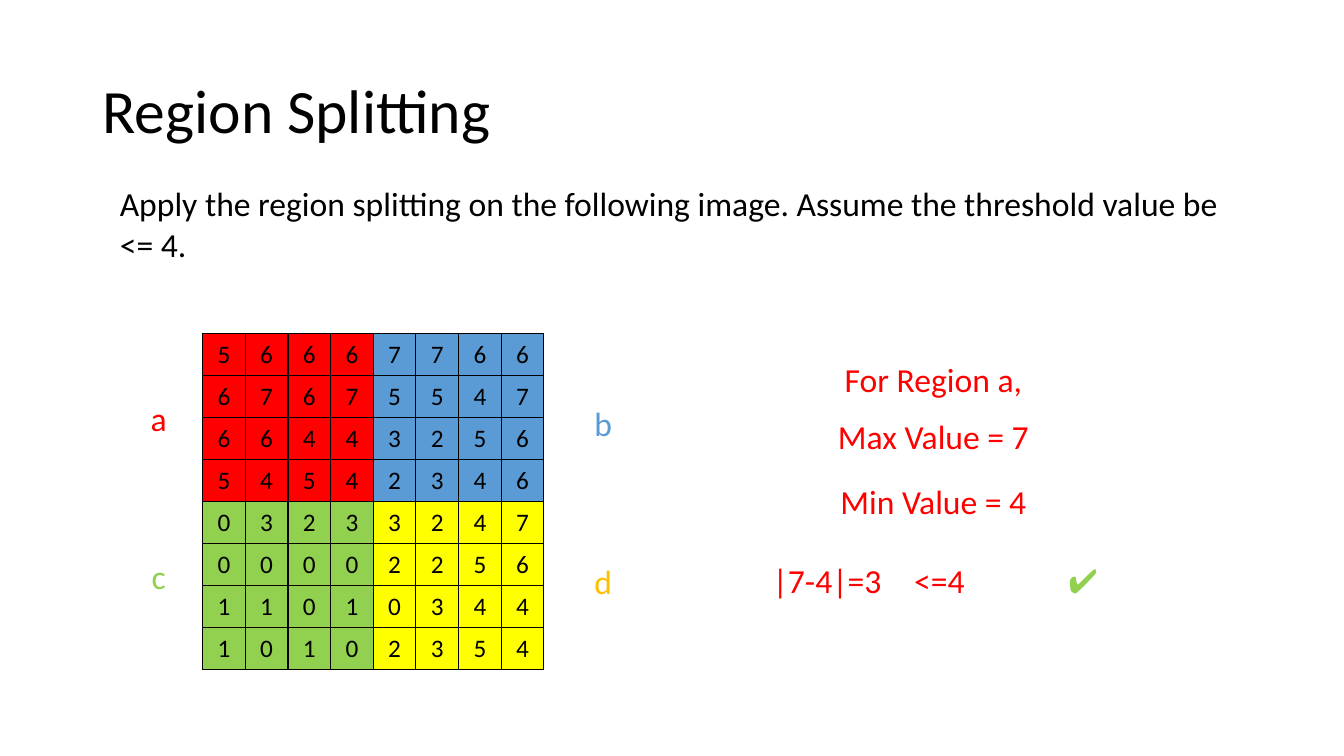
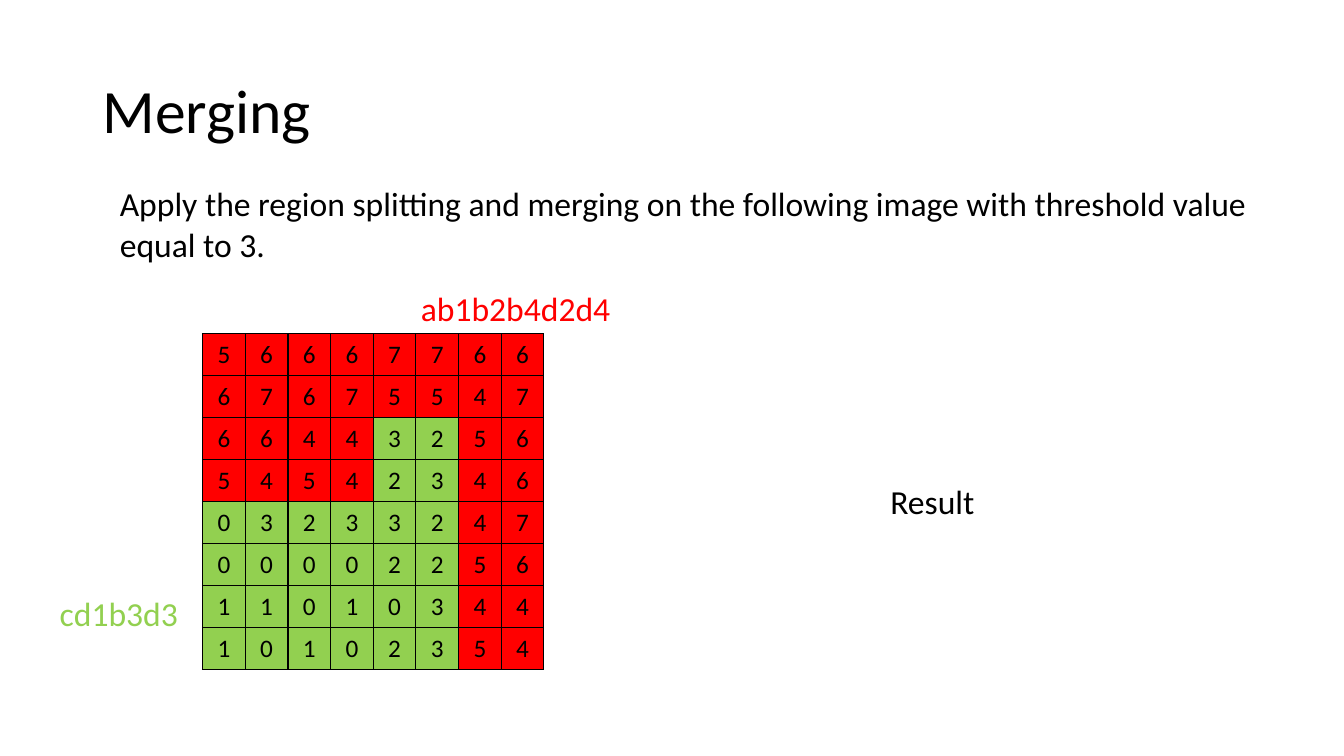
from pptx import Presentation
from pptx.dml.color import RGBColor
from pptx.enum import text as t
from pptx.oxml import parse_xml
from pptx.oxml.ns import nsdecls
from pptx.util import Pt

FONT = "Calibri"
BLACK = RGBColor(0x00, 0x00, 0x00)
RED = RGBColor(0xFF, 0x00, 0x00)
BLUE = RGBColor(0x5B, 0x9B, 0xD5)
GREEN = RGBColor(0x92, 0xD0, 0x50)
YELLOW = RGBColor(0xFF, 0xFF, 0x00)
GOLD = RGBColor(0xFF, 0xC0, 0x00)
LEFT, CENTER = t.PP_ALIGN.LEFT, t.PP_ALIGN.CENTER

TITLE_BOX = (66.2, 28.8, 828, 104.4)
TASK_BOX = (78.5, 127.4, 819.4, 65.5)
GRID_BOX = (144.7, 238.3, 244, 240)
CHECK_BOX = (535.7, 252.7, 260.6, 179.4)
RESULT_BOX = (576.7, 339.8, 178.6, 36)
LINE_HEIGHT = 36

PIXELS = (
    "56667766",
    "67675547",
    "66443256",
    "54542346",
    "03233247",
    "00002256",
    "11010344",
    "10102354",
)
SPLIT_REGIONS = ("aaaabbbb",) * 4 + ("ccccdddd",) * 4
SPLIT_FILLS = {"a": RED, "b": BLUE, "c": GREEN, "d": YELLOW}
MERGED_REGIONS = ("aaaaaaaa",) * 2 + ("aaaaccaa",) * 2 + ("ccccccaa",) * 4
MERGED_FILLS = {"a": RED, "c": GREEN}


def write(para, words, size, color, align):
    para.alignment = align
    span = para.add_run()
    span.text = words
    span.font.name = FONT
    span.font.size = Pt(size)
    span.font.color.rgb = color


def add_text(page, box, words, color=BLACK, align=CENTER, size=24):
    frame = page.shapes.add_textbox(*map(Pt, box)).text_frame
    frame.word_wrap = True
    write(frame.paragraphs[0], words, size, color, align)
    return frame


def add_heading(page, title, task):
    frame = add_text(page, TITLE_BOX, title, align=LEFT, size=44)
    frame.vertical_anchor = t.MSO_ANCHOR.MIDDLE
    frame.paragraphs[0].line_spacing = 0.9
    add_text(page, TASK_BOX, task, align=LEFT)


def add_borders(cell):
    properties = cell._tc.get_or_add_tcPr()
    for side in "LRTB":
        properties.append(parse_xml(
            f'<a:ln{side} {nsdecls("a")} w="{Pt(1)}"><a:solidFill>'
            f'<a:srgbClr val="{BLACK}"/></a:solidFill></a:ln{side}>'))


def add_pixel_grid(page, box, regions, fills):
    left, top, width, height = box
    count = len(PIXELS)
    table = page.shapes.add_table(count, count, *map(Pt, box)).table
    table.first_row = table.horz_banding = False
    for index in range(count):
        table.columns[index].width = Pt(width / count)
        table.rows[index].height = Pt(height / count)
    for row, (values, names) in enumerate(zip(PIXELS, regions)):
        for column, (value, name) in enumerate(zip(values, names)):
            cell = table.cell(row, column)
            add_borders(cell)
            cell.fill.solid()
            cell.fill.fore_color.rgb = fills[name]
            cell.vertical_anchor = t.MSO_ANCHOR.MIDDLE
            write(cell.text_frame.paragraphs[0], value, 18, BLACK, CENTER)


def add_quadrant_labels(page, box):
    left, top, width, height = box
    label_width = 45.4
    columns = ((left - 54, 42.5), (left + width + 19.5, 46))
    for index, (name, color) in enumerate(zip("abcd", (RED, BLUE, GREEN, GOLD))):
        row, column = divmod(index, 2)
        x, drop = columns[column]
        add_text(page, (x, top + drop + row * 113, label_width, LINE_HEIGHT), name, color)


def add_merged_labels(page, box):
    left, top, width, height = box
    add_text(page, (left + 146.9, top - 36, 153.4, LINE_HEIGHT), "ab1b2b4d2d4", RED)
    add_text(page, (left - 110.9, top + 181.5, 102.2, LINE_HEIGHT), "cd1b3d3", GREEN)


def add_threshold_check(page, box):
    left, top, width, height = box
    for drop, words in ((0, "For Region a,"), (41.1, "Max Value = 7"), (87.1, "Min Value = 4")):
        add_text(page, (left + 41.7, top + drop, 178.6, LINE_HEIGHT), words, RED)
    bottom = top + height - LINE_HEIGHT
    step = 110.2
    parts = (("|7-4|=3", RED, CENTER, step), ("<=4", RED, LEFT, step), ("✔", GREEN, LEFT, 40.3))
    for index, (words, color, align, part_width) in enumerate(parts):
        add_text(page, (left + index * step, bottom, part_width, LINE_HEIGHT), words, color, align)


def build_splitting(page):
    add_heading(page, "Region Splitting",
                "Apply the region splitting on the following image. "
                "Assume the threshold value be <= 4.")
    add_pixel_grid(page, GRID_BOX, SPLIT_REGIONS, SPLIT_FILLS)
    add_quadrant_labels(page, GRID_BOX)
    add_threshold_check(page, CHECK_BOX)


def build_merging(page):
    add_heading(page, "Merging",
                "Apply the region splitting and merging on the following image "
                "with threshold value equal to 3.")
    add_pixel_grid(page, GRID_BOX, MERGED_REGIONS, MERGED_FILLS)
    add_merged_labels(page, GRID_BOX)
    add_text(page, RESULT_BOX, "Result")


def main():
    deck = Presentation()
    deck.slide_width, deck.slide_height = Pt(960), Pt(540)
    for build in (build_splitting, build_merging):
        build(deck.slides.add_slide(deck.slide_layouts[6]))
    deck.save("out.pptx")


if __name__ == "__main__":
    main()
